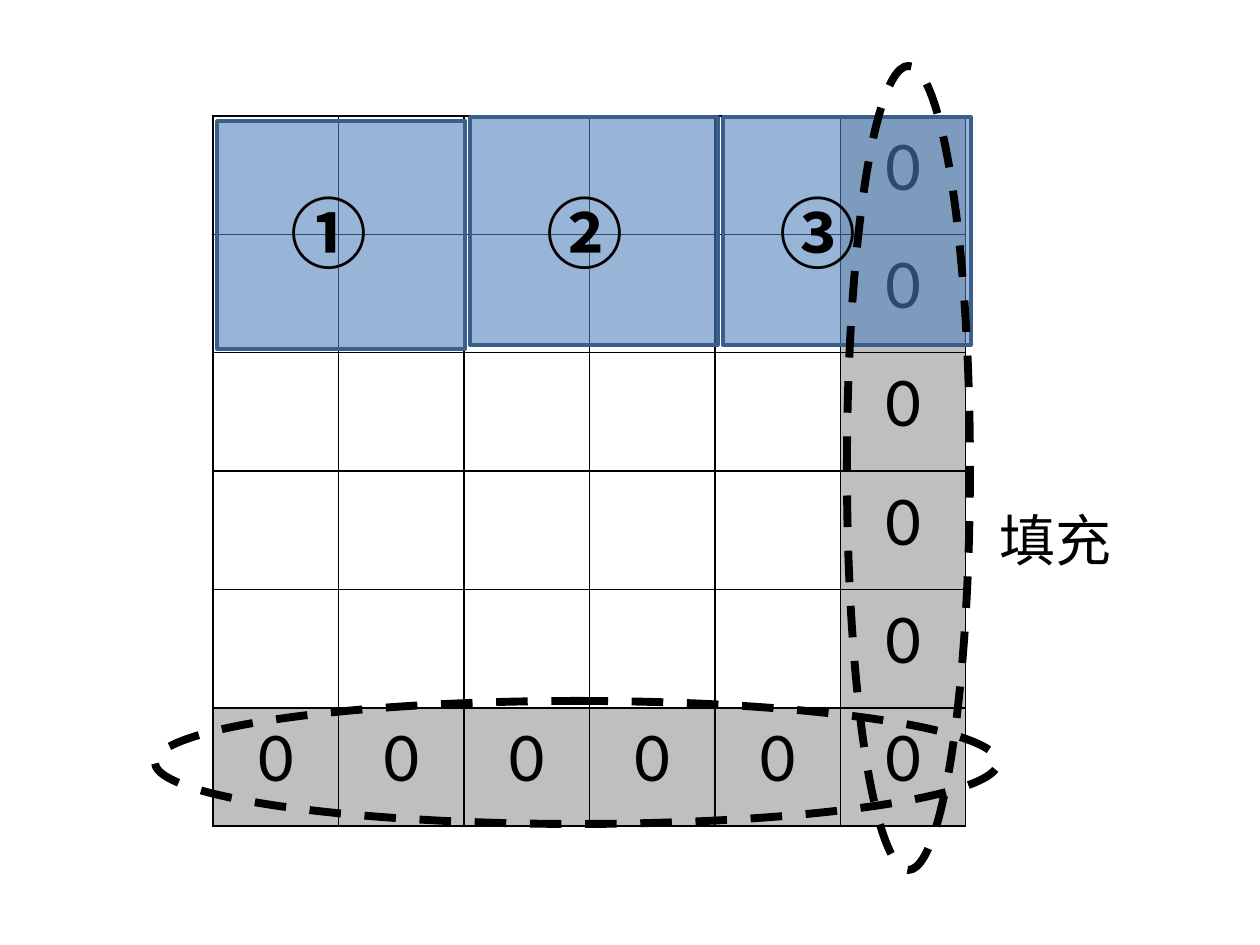
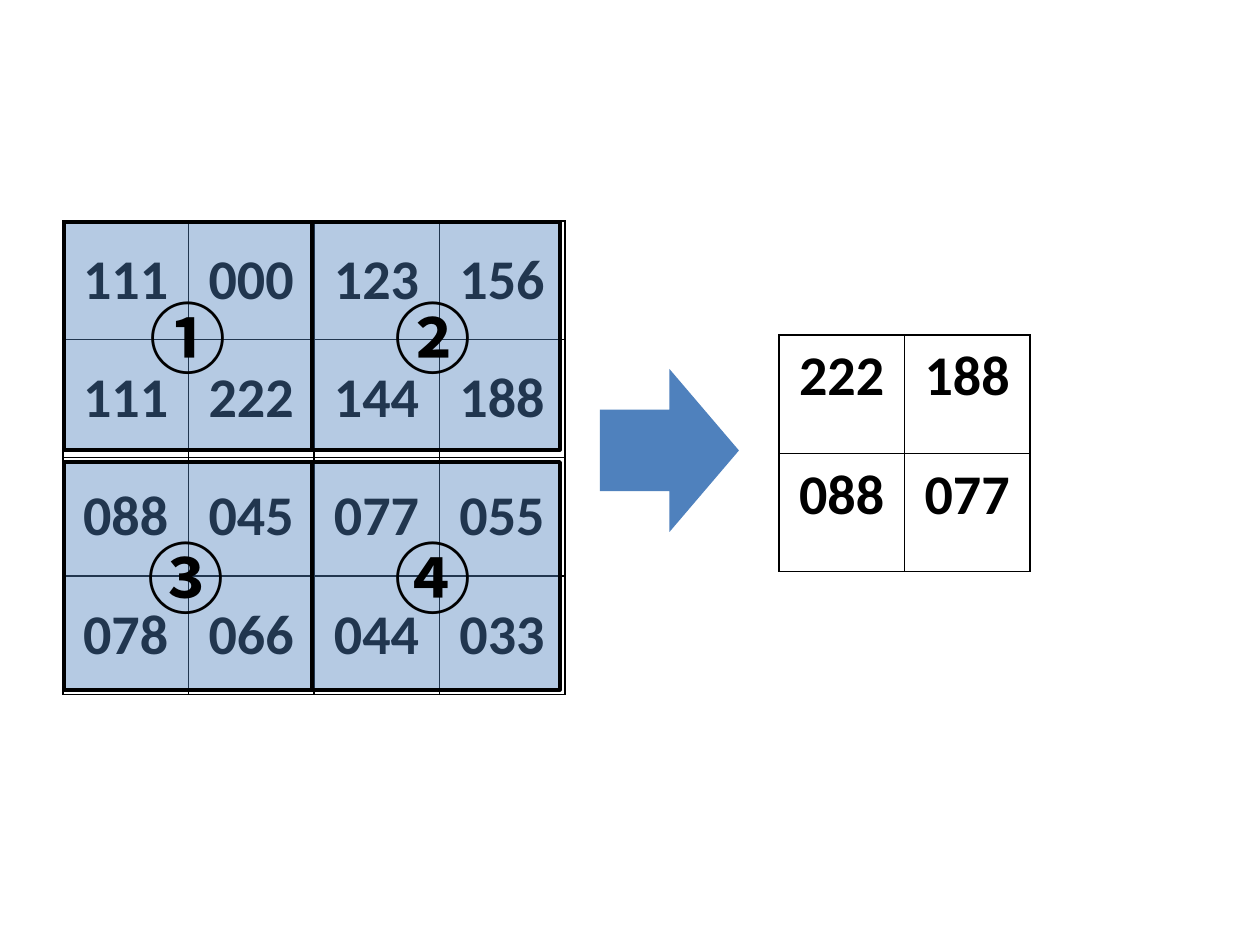
import pptx
import pptx.util
import pptx.dml.color
import pptx.enum.dml
import pptx.enum.shapes
import pptx.enum.text
import pptx.oxml.ns
from lxml import etree

# Content: positions and sizes in pixels, 126 to the inch
PADDING_GRID = [["", "", "", "", "", "0"] for _ in range(5)] + [["0"] * 6]
PIXEL_GRID = [
    ["111", "000", "123", "156"],
    ["111", "222", "144", "188"],
    ["088", "045", "077", "055"],
    ["078", "066", "044", "033"],
]
MAXIMUM_GRID = [["222", "188"], ["088", "077"]]

# Pooling windows: number, window corner, label corner
PADDING_WINDOWS = [
    ("①", (217, 121), (278, 179)),
    ("②", (470, 117), (534, 179)),
    ("③", (723, 117), (767, 179)),
]
POOLING_WINDOWS = [
    ("①", (64, 222), (137, 284)),
    ("②", (312, 222), (382, 284)),
    ("③", (64, 462), (135, 524)),
    ("④", (312, 462), (382, 524)),
]
PADDING_ELLIPSES = [((847, 66, 123, 804), 0), ((515, 341, 123, 843), 90)]

# Shared look
SCALE = 914400 / 126
COLORS = {"background": "FFFFFF", "ink": "000000", "blue": "4F81BD",
          "blue_edge": "3A5F8C", "padding": "BFBFBF"}
LATIN_FONT, CHINESE_FONT = "Calibri", "Noto Sans CJK SC"
CELL_WIDTH, CELL_HEIGHT = 125.5, 118.4
WINDOW_SIZE, LABEL_SIZE = (248, 228), (149, 106)
SHAPES = pptx.enum.shapes.MSO_SHAPE
ANCHORS = pptx.enum.text.MSO_ANCHOR
qn = pptx.oxml.ns.qn


def emu(pixels):
    return pptx.util.Emu(round(pixels * SCALE))


def rgb(name):
    return pptx.dml.color.RGBColor.from_string(COLORS[name])


def write(frame, text, size, font=LATIN_FONT, bold=False, align=None):
    paragraph = frame.paragraphs[0]
    paragraph.alignment = align
    run = paragraph.add_run()
    run.text = text
    run.font.size = pptx.util.Pt(size)
    run.font.bold = bold
    run.font.name = font
    run.font.color.rgb = rgb("ink")
    east_asian = etree.Element(qn("a:ea"), typeface=CHINESE_FONT)
    run.font._element.find(qn("a:latin")).addnext(east_asian)


def add_text(slide, box, text, size, **text_format):
    frame = slide.shapes.add_textbox(*map(emu, box)).text_frame
    frame.word_wrap = True
    frame.auto_size = pptx.enum.text.MSO_AUTO_SIZE.SHAPE_TO_FIT_TEXT
    write(frame, text, size, **text_format)


def add_shape(slide, kind, box, fill=None, opacity=100, line=None, width=2):
    shape = slide.shapes.add_shape(kind, *map(emu, box))
    shape.shadow.inherit = False
    if fill:
        shape.fill.solid()
        shape.fill.fore_color.rgb = rgb(fill)
        if opacity < 100:
            color = shape._element.spPr.find(qn("a:solidFill"))[0]
            etree.SubElement(color, qn("a:alpha"), val=str(opacity * 1000))
    else:
        shape.fill.background()
    if line:
        shape.line.color.rgb = rgb(line)
        shape.line.width = pptx.util.Pt(width)
    else:
        shape.line.fill.background()
    return shape


def add_borders(cell):
    properties = cell._tc.get_or_add_tcPr()
    for index, side in enumerate(("lnL", "lnR", "lnT", "lnB")):
        border = etree.Element(qn("a:" + side), w="12700")
        fill = etree.SubElement(border, qn("a:solidFill"))
        etree.SubElement(fill, qn("a:srgbClr"), val=COLORS["ink"])
        properties.insert(index, border)


def add_grid(slide, left, top, rows, size, bold=False, anchor=ANCHORS.TOP, fill=None):
    row_count, column_count = len(rows), len(rows[0])
    box = (left, top, CELL_WIDTH * column_count, CELL_HEIGHT * row_count)
    table = slide.shapes.add_table(row_count, column_count, *map(emu, box)).table
    table.first_row = table.horz_banding = False
    for column in table.columns:
        column.width = emu(CELL_WIDTH)
    for row in table.rows:
        row.height = emu(CELL_HEIGHT)
    for row_index, row in enumerate(rows):
        for column_index, text in enumerate(row):
            cell = table.cell(row_index, column_index)
            cell.margin_left = cell.margin_right = emu(15)
            cell.margin_top = cell.margin_bottom = emu(7.5)
            cell.vertical_anchor = anchor
            if text and fill:
                cell.fill.solid()
                cell.fill.fore_color.rgb = rgb(fill)
            else:
                cell.fill.background()
            add_borders(cell)
            if text:
                write(cell.text_frame, text, size, bold=bold,
                      align=pptx.enum.text.PP_ALIGN.CENTER)


def add_windows(slide, windows, opacity, line):
    for number, window, label in windows:
        add_shape(slide, SHAPES.RECTANGLE, window + WINDOW_SIZE, "blue", opacity, line)
    for number, window, label in windows:
        add_text(slide, label + LABEL_SIZE, number, 44, font=CHINESE_FONT, bold=True)


def add_slide(presentation):
    slide = presentation.slides.add_slide(presentation.slide_layouts[6])
    slide.background.fill.solid()
    slide.background.fill.fore_color.rgb = rgb("background")
    return slide


presentation = pptx.Presentation()
presentation.slide_width, presentation.slide_height = emu(1260), emu(945)

# Slide 1: zero padding around the input
slide = add_slide(presentation)
add_grid(slide, 213, 116, PADDING_GRID, 40, fill="padding")
add_windows(slide, PADDING_WINDOWS, 58, "blue_edge")
add_text(slide, (987, 499, 507, 81), "填充", 32)
for box, rotation in PADDING_ELLIPSES:
    ellipse = add_shape(slide, SHAPES.OVAL, box, line="ink", width=4.5)
    ellipse.line.dash_style = pptx.enum.dml.MSO_LINE.DASH
    ellipse.rotation = rotation

# Slide 2: maximum of each window
slide = add_slide(presentation)
add_grid(slide, 63, 221, PIXEL_GRID, 32, bold=True, anchor=ANCHORS.MIDDLE)
add_windows(slide, POOLING_WINDOWS, 42, "ink")
add_shape(slide, SHAPES.RIGHT_ARROW, (600, 369, 139, 163), "blue")
add_grid(slide, 779, 335, MAXIMUM_GRID, 32, bold=True)

presentation.save("out.pptx")
